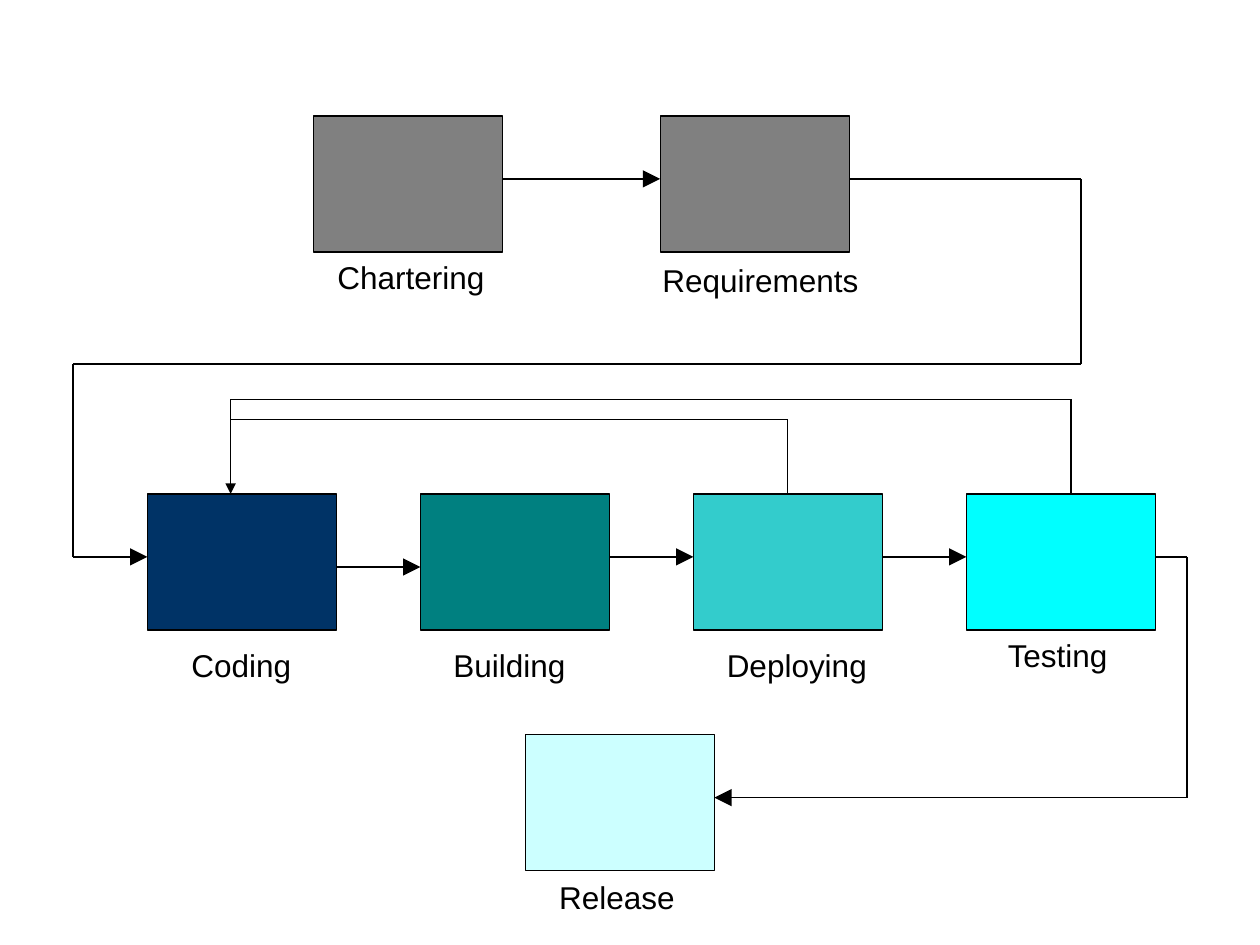
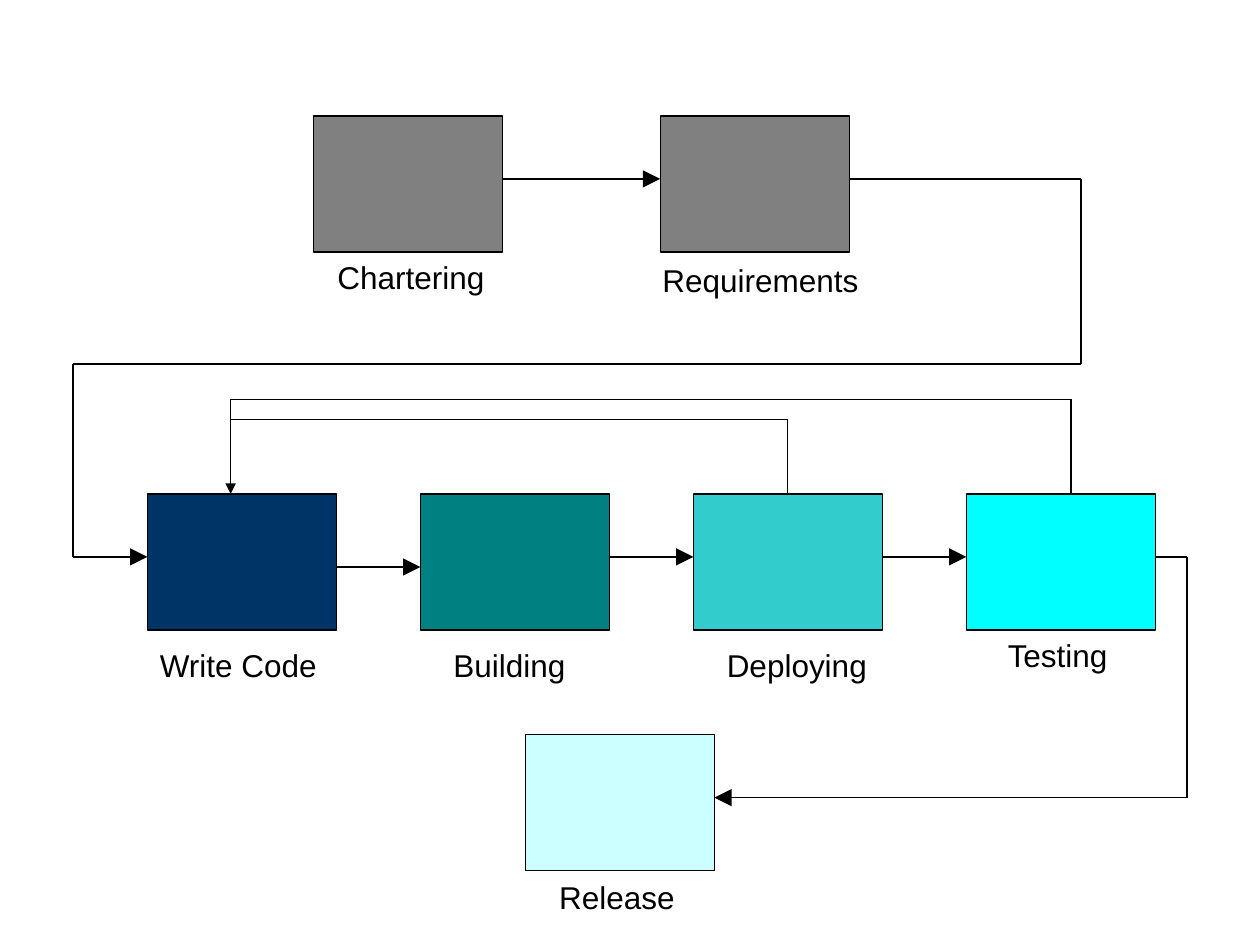
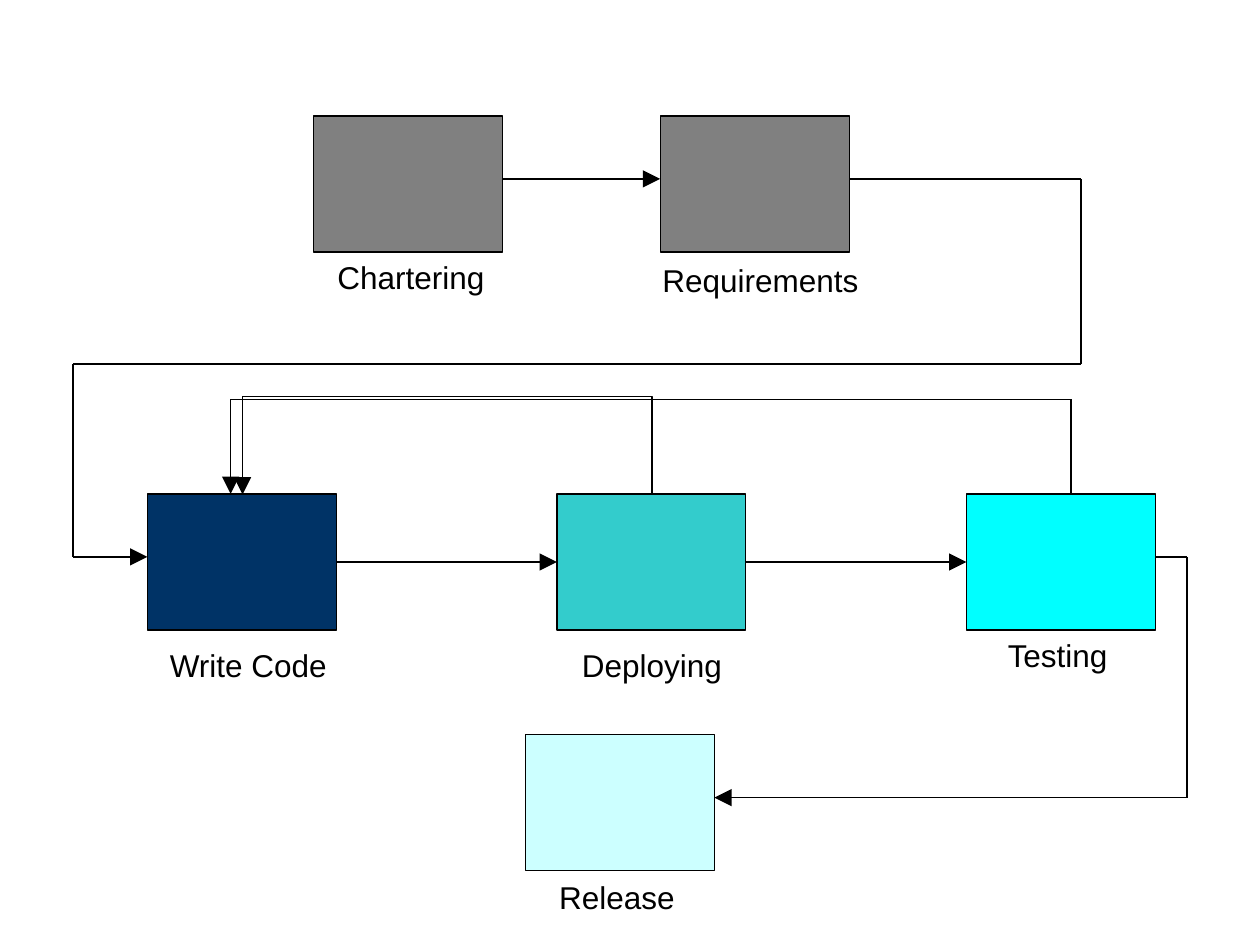
import pptx
import pptx.dml.color
import pptx.enum.shapes
import pptx.enum.text
import pptx.oxml
import pptx.oxml.ns
import pptx.util

Inches = pptx.util.Inches
Pt = pptx.util.Pt

BOX_WIDTH, BOX_HEIGHT = 1.5, 1.08
PLAN_TOP, STAGE_TOP, RELEASE_TOP = 0.92, 3.92, 5.83
PLAN_FLOW_Y, STAGE_FLOW_Y, RELEASE_FLOW_Y = 1.42, 4.42, 6.33
FIRST_STAGE, LAST_STAGE = 1.17, 7.67
STAGE_LABEL_TOP = 5.08
FEEDBACK_X, FEEDBACK_JOIN_Y = 1.83, 3.33

NAVY, TEAL, TURQUOISE, CYAN = "003366", "008080", "33CCCC", "00FFFF"
GREY, PALE_CYAN, BLACK = "808080", "CCFFFF", "000000"

LABEL_FRAME = {
    "word_wrap": False,
    "auto_size": pptx.enum.text.MSO_AUTO_SIZE.SHAPE_TO_FIT_TEXT,
    "margin_left": Inches(0.1),
    "margin_right": Inches(0.1),
    "margin_top": Inches(0.05),
    "margin_bottom": Inches(0.05),
}
LABEL_FONT = {"name": "Arial", "size": Pt(18)}


def rgb(hex_colour):
    return pptx.dml.color.RGBColor.from_string(hex_colour)


def apply_format(target, values):
    for attribute, value in values.items():
        setattr(target, attribute, value)


def drawing_element(tag, **attributes):
    """Return an empty element of the DrawingML namespace."""
    element = pptx.oxml.parse_xml(f"<a:{tag} {pptx.oxml.ns.nsdecls('a')}/>")
    for name, value in attributes.items():
        element.set(name, value)
    return element


class FlowDiagram:
    def __init__(self):
        self.deck = pptx.Presentation()
        self.deck.slide_width, self.deck.slide_height = Inches(10), Inches(7.5)
        self.slide = None

    def new_slide(self):
        self.slide = self.deck.slides.add_slide(self.deck.slide_layouts[6])

    def outline(self, line, width):
        line.color.rgb = rgb(BLACK)
        line.width = Pt(width)

    def box(self, left, top, colour):
        step = self.slide.shapes.add_shape(
            pptx.enum.shapes.MSO_SHAPE.RECTANGLE,
            Inches(left), Inches(top), Inches(BOX_WIDTH), Inches(BOX_HEIGHT))
        step.shadow.inherit = False
        step.fill.solid()
        step.fill.fore_color.rgb = rgb(colour)
        self.outline(step.line, 0.75)

    def label(self, text, left, top, width):
        caption = self.slide.shapes.add_textbox(
            Inches(left), Inches(top), Inches(width), Inches(0.4))
        apply_format(caption.text_frame, LABEL_FRAME)
        run = caption.text_frame.paragraphs[0].add_run()
        run.text = text
        apply_format(run.font, LABEL_FONT)
        run.font.color.rgb = rgb(BLACK)

    def connect(self, start, end, width, head=None, kind="STRAIGHT"):
        """Draw one connector; head is the arrowhead size at its end."""
        link = self.slide.shapes.add_connector(
            pptx.enum.shapes.MSO_CONNECTOR[kind],
            *(Inches(value) for value in (*start, *end)))
        self.outline(link.line, width)
        if head:
            link.line._get_or_add_ln().append(
                drawing_element("tailEnd", type="triangle", w=head, len=head))
        link._element.spPr.append(drawing_element("effectLst"))
        return link

    def arrow(self, left, right, y):
        self.connect((left, y), (right, y), 1, "lg")

    def route(self, *points, head=None):
        """Join the points with thin lines, the last one with the arrowhead."""
        for start, end in zip(points, points[1:]):
            self.connect(start, end, 0.75, head if end == points[-1] else None)

    def loop_back(self, start_x, end_x, y, rise):
        """Draw an elbow arrow that leaves and arrives at height y.

        The connector is a thin upright one turned a quarter; its bend is
        given in multiples of its thickness.
        """
        thickness = 0.01
        middle, reach = (start_x + end_x) / 2, (start_x - end_x) / 2
        link = self.connect((middle, y - reach), (middle + thickness, y + reach),
                            1, "lg", "ELBOW")
        link._element.spPr.find(pptx.oxml.ns.qn("a:xfrm")).set("rot", "5400000")
        bend = round(-rise / thickness * 100000)
        link._element.spPr.prstGeom.get_or_add_avLst().append(
            drawing_element("gd", name="adj1", fmla=f"val {bend}"))

    def planning(self):
        chartering, requirements = 2.49, 5.24
        for left in (chartering, requirements):
            self.box(left, PLAN_TOP, GREY)
        self.arrow(chartering + BOX_WIDTH, requirements, PLAN_FLOW_Y)
        self.label("Chartering", 2.58, 2, 1.38)
        self.label("Requirements", 5.16, 2.02, 1.77)
        self.route((requirements + BOX_WIDTH, PLAN_FLOW_Y), (8.12, PLAN_FLOW_Y),
                   (8.58, PLAN_FLOW_Y), (8.58, 2.89), (0.58, 2.89),
                   (0.58, 4.04), (0.58, STAGE_FLOW_Y))
        self.arrow(0.58, FIRST_STAGE, STAGE_FLOW_Y)

    def stages(self, colours, flow_heights):
        """Spread the stage boxes evenly, with an arrow in each gap."""
        pitch = (LAST_STAGE - FIRST_STAGE) / (len(colours) - 1)
        lefts = [FIRST_STAGE + pitch * i for i in range(len(colours))]
        for left, colour in zip(lefts, colours):
            self.box(left, STAGE_TOP, colour)
        for left, following, y in zip(lefts, lefts[1:], flow_heights):
            self.arrow(left + BOX_WIDTH, following, y)

    def testing_and_release(self, feedback_head):
        self.label("Testing", 7.9, 5, 1.04)
        self.route((8.5, STAGE_TOP), (8.5, 3.17), (FEEDBACK_X, 3.17),
                   (FEEDBACK_X, FEEDBACK_JOIN_Y), (FEEDBACK_X, STAGE_TOP),
                   head=feedback_head)
        release = 4.17
        self.box(release, RELEASE_TOP, PALE_CYAN)
        self.label("Release", 4.34, 6.92, 1.13)
        self.route((LAST_STAGE + BOX_WIDTH, STAGE_FLOW_Y), (9.42, STAGE_FLOW_Y),
                   (9.42, RELEASE_FLOW_Y), (release + BOX_WIDTH, RELEASE_FLOW_Y),
                   head="lg")

    def four_stage_slide(self, coding, coding_left, coding_width):
        self.new_slide()
        self.planning()
        self.stages((NAVY, TEAL, TURQUOISE, CYAN),
                    (4.5, STAGE_FLOW_Y, STAGE_FLOW_Y))
        self.label(coding, coding_left, STAGE_LABEL_TOP, coding_width)
        self.label("Building", 3.5, STAGE_LABEL_TOP, 1.11)
        self.label("Deploying", 5.67, STAGE_LABEL_TOP, 1.33)
        self.route((6.25, STAGE_TOP), (6.25, FEEDBACK_JOIN_Y),
                   (FEEDBACK_X, FEEDBACK_JOIN_Y))
        self.testing_and_release("med")

    def three_stage_slide(self):
        self.new_slide()
        self.planning()
        self.stages((NAVY, TURQUOISE, CYAN), (4.46, 4.46))
        self.label("Write Code", 1.25, STAGE_LABEL_TOP, 1.47)
        self.label("Deploying", 4.52, STAGE_LABEL_TOP, 1.33)
        self.testing_and_release("lg")
        self.loop_back(5.17, 1.92, STAGE_TOP, 0.78)


def main():
    diagram = FlowDiagram()
    diagram.four_stage_slide("Coding", 1.42, 1.01)
    diagram.four_stage_slide("Write Code", 1.17, 1.47)
    diagram.three_stage_slide()
    diagram.deck.save("out.pptx")


if __name__ == "__main__":
    main()
